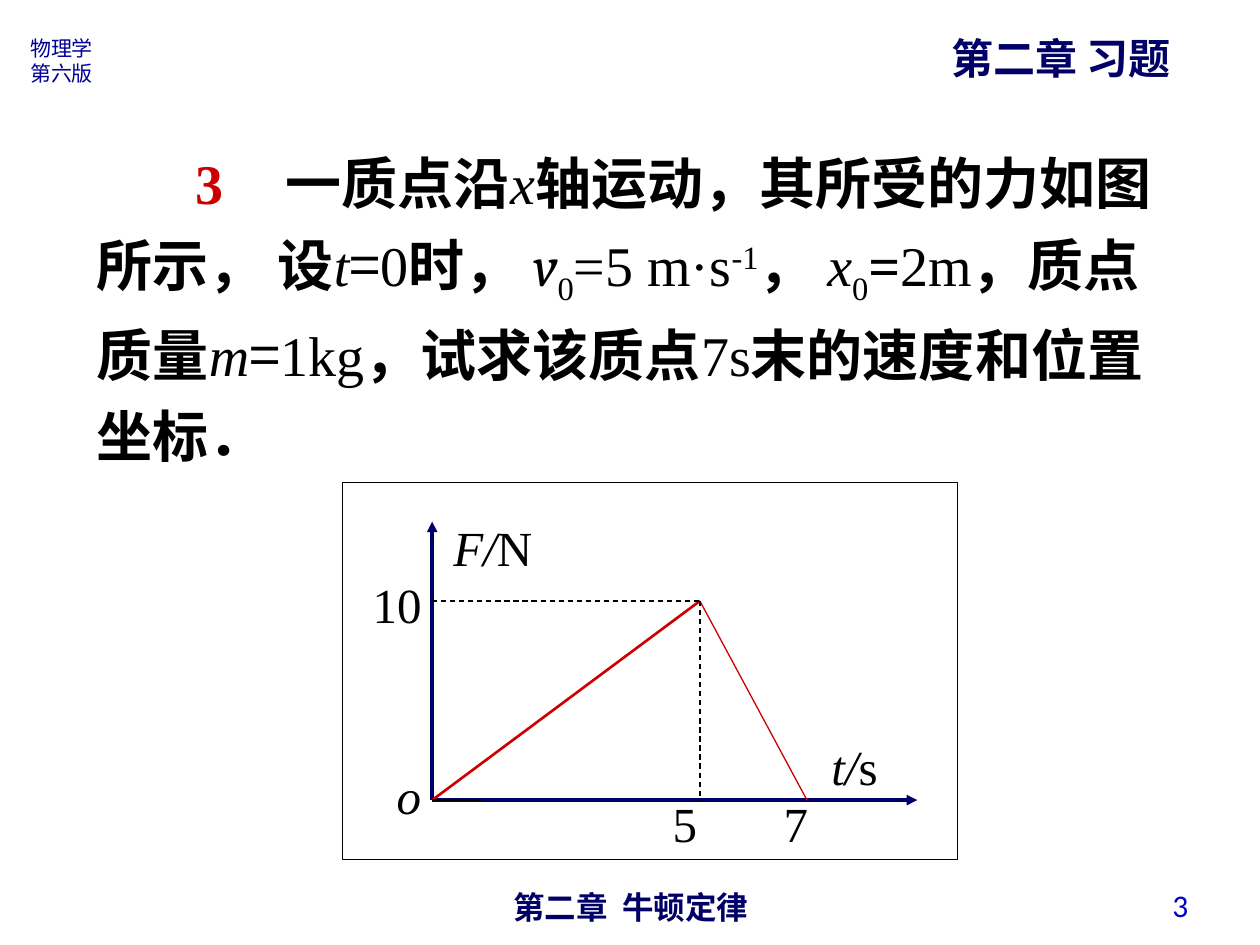
import pptx
import pptx.dml.color
import pptx.enum.dml
import pptx.enum.shapes
import pptx.enum.text
import pptx.oxml.ns
import pptx.util
from lxml import etree

RGBColor = pptx.dml.color.RGBColor
NAVY = RGBColor(0x00, 0x00, 0x66)
BLUE = RGBColor(0x00, 0x00, 0x99)
NUMBER_BLUE = RGBColor(0x00, 0x00, 0xCC)
RED = RGBColor(0xCC, 0x00, 0x00)
BLACK = RGBColor(0x00, 0x00, 0x00)

COLUMNS, ROWS = 100, 75
CELL = pptx.util.Inches(0.1)
ORIGIN = (34.3, 63.5)
SECOND, NEWTON = 4.25, 1.58
SERIF, CHINESE = "Times New Roman", "Noto Sans CJK SC"
ALIGN = pptx.enum.text.PP_ALIGN
FIT = pptx.enum.text.MSO_AUTO_SIZE


def cells(count):
    """Turn a number of grid cells into a length."""
    return pptx.util.Emu(round(count * CELL))


def point(time, force):
    """Give the grid place of a time and a force on the graph."""
    return ORIGIN[0] + time * SECOND, ORIGIN[1] - force * NEWTON


def add_child(parent, tag, **attributes):
    """Append a drawing element to a parent element."""
    return etree.SubElement(parent, pptx.oxml.ns.qn(tag), attributes)


def add_span(para, text, size, color=BLACK, font=SERIF, bold=False, italic=False, base=0):
    """Add one run with its full formatting."""
    span = para.add_run()
    span.text = text
    span.font.size = pptx.util.Pt(size)
    span.font.bold = bold
    span.font.italic = italic
    span.font.color.rgb = color
    span.font.name = font
    properties = span.font._element
    add_child(properties, "a:ea", typeface=CHINESE)
    if base:
        properties.set("baseline", str(base * 1000))


def add_box(page, place, wrap=True, fit=FIT.SHAPE_TO_FIT_TEXT):
    """Add an empty text box and return its text frame."""
    frame = page.shapes.add_textbox(*map(cells, place)).text_frame
    frame.word_wrap = wrap
    frame.auto_size = fit
    return frame


def add_line(page, start, end, color, width=0.75, dashed=False, arrow=False):
    """Add a straight line between two grid places."""
    line = page.shapes.add_connector(
        pptx.enum.shapes.MSO_CONNECTOR.STRAIGHT, *map(cells, (*start, *end)))
    line.line.color.rgb = color
    line.line.width = pptx.util.Pt(width)
    if dashed:
        line.line.dash_style = pptx.enum.dml.MSO_LINE.DASH
    if arrow:
        add_child(line.line._get_or_add_ln(), "a:tailEnd", type="triangle")
    add_child(line._element.spPr, "a:effectLst")


def add_margins(page):
    """Add the header, the footer and the page number."""
    edition = add_box(page, (1.4, 2.3, 7.2, 5))
    add_span(edition.paragraphs[0], "物理学", 12, BLUE, CHINESE)
    add_span(edition.add_paragraph(), "第六版", 12, BLUE, CHINESE)

    chapter = add_box(page, (34.2, 70, 31.7, 2.9), fit=FIT.NONE).paragraphs[0]
    chapter.alignment = ALIGN.CENTER
    add_span(chapter, "第二章  牛顿定律", 18, NAVY, "Arial", bold=True)

    heading = add_box(page, (74.5, 2.1, 20.3, 5), wrap=False).paragraphs[0]
    add_span(heading, "第二章 习题", 24, NAVY, CHINESE, bold=True)

    frame = add_box(page, (72, 69.8, 23.3, 4), fit=FIT.NONE)
    frame.vertical_anchor = pptx.enum.text.MSO_ANCHOR.MIDDLE
    frame.paragraphs[0].alignment = ALIGN.RIGHT
    add_span(frame.paragraphs[0], "3", 18, NUMBER_BLUE, "Calibri")


def add_problem(page):
    """Add the wording of the exercise."""
    strong, symbol, low = {"bold": True}, {"italic": True}, {"base": -25}
    spans = [
        ("3\t", {"bold": True, "color": RED}),
        ("一质点沿", strong), ("x", symbol),
        ("轴运动，其所受的力如图所示， 设", strong),
        ("t", symbol), ("=", {"font": CHINESE}), ("0", {}), ("时， ", strong),
        ("v", {"italic": True, "font": "Cambria"}), ("0", low),
        ("=5 m·s", {}), ("-1", {"base": 30}), ("， ", strong),
        ("x", symbol), ("0", low), ("=", strong), ("2m", {}),
        ("，质点质量", strong), ("m", symbol), ("=", {"font": CHINESE}), ("1kg", {}),
        ("，试求该质点", strong), ("7s", {}), ("末的速度和位置坐标．", strong),
    ]
    para = add_box(page, (6.7, 10.2, 88.2, 27.5)).paragraphs[0]
    para.line_spacing = 1.2
    properties = para._p.get_or_add_pPr()
    properties.set("marL", "0")
    properties.set("indent", str(cells(7.8)))
    stops = add_child(properties, "a:tabLst")
    add_child(stops, "a:tab", pos=str(cells(12.9)), algn="l")
    for text, style in spans:
        add_span(para, text, 32, **style)


def add_label(page, left, top, width, symbol="", upright=""):
    """Add a graph label of an italic and an upright part."""
    para = add_box(page, (left, top, width, 5.7)).paragraphs[0]
    for text, italic in ((symbol, True), (upright, False)):
        if text:
            add_span(para, text, 28, italic=italic)


def add_graph(page):
    """Add the graph of force against time inside its frame."""
    peak, end = point(5, 10), point(7, 0)
    add_line(page, ORIGIN, (72.8, ORIGIN[1]), NAVY, 2, arrow=True)
    add_line(page, ORIGIN, (ORIGIN[0], 41.4), NAVY, 2, arrow=True)
    add_line(page, ORIGIN, peak, RED, 1.5)
    add_line(page, peak, end, RED)
    add_line(page, ORIGIN, (38.2, ORIGIN[1]), BLACK)
    add_line(page, point(0, 10), peak, BLACK, dashed=True)
    add_line(page, peak, point(5, 0), BLACK, dashed=True)

    add_label(page, 30.5, 60.3, 5.5, "o")
    add_label(page, 65, 58, 7.9, "t/", "s")
    add_label(page, 35, 40.6, 11.8, "F/", "N")
    add_label(page, 28.6, 45.1, 8.7, upright="10")
    for left, time in ((52.4, "5"), (61.2, "7")):
        add_label(page, left, 62.5, 5.5, upright=time)

    border = page.shapes.add_shape(
        pptx.enum.shapes.MSO_SHAPE.RECTANGLE, *map(cells, (27.2, 38.3, 48.8, 29.9)))
    border.shadow.inherit = False
    border.fill.background()
    border.line.color.rgb = BLACK
    border.line.width = pptx.util.Pt(0.75)


def main():
    """Build the slide and save it."""
    deck = pptx.Presentation()
    deck.slide_width, deck.slide_height = cells(COLUMNS), cells(ROWS)
    page = deck.slides.add_slide(deck.slide_layouts[6])
    add_margins(page)
    add_problem(page)
    add_graph(page)
    deck.save("out.pptx")


if __name__ == "__main__":
    main()
